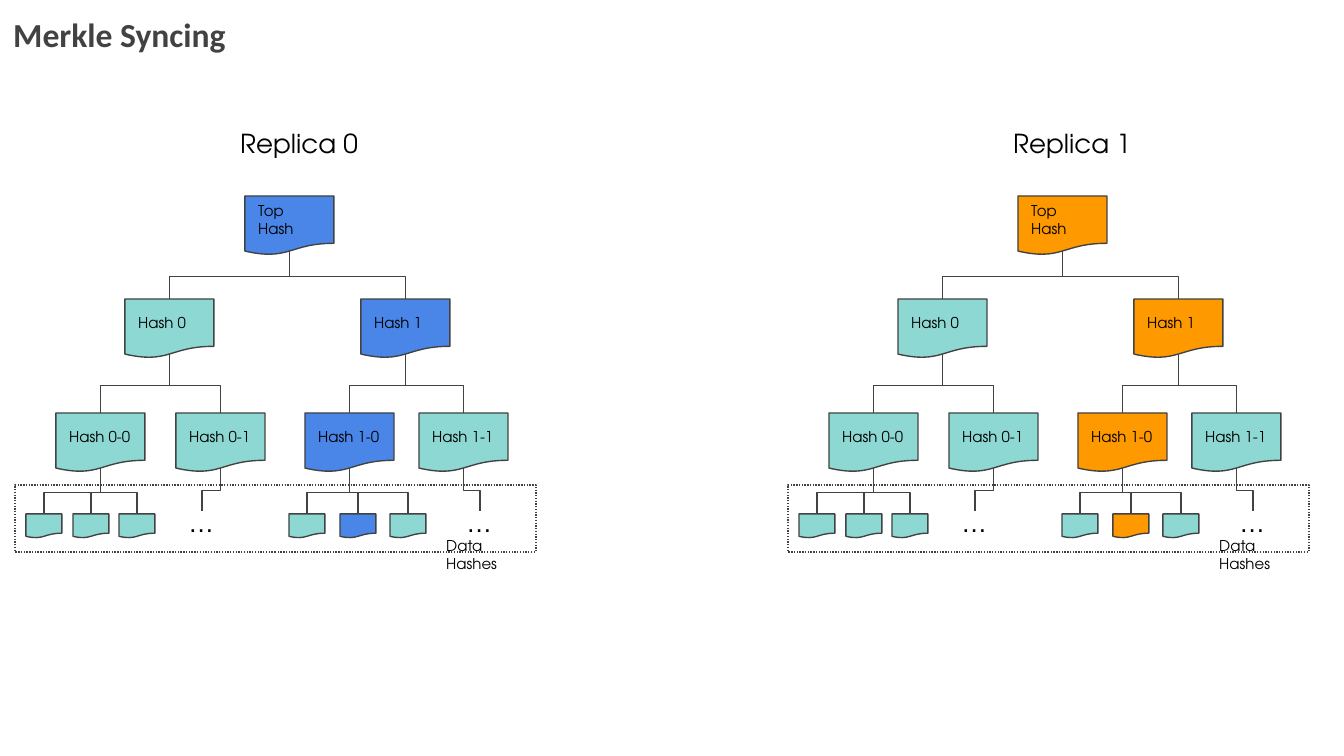
from lxml import etree
from pptx import Presentation
from pptx import util as u
from pptx.dml.color import RGBColor
from pptx.enum import dml, shapes, text
from pptx.oxml.ns import qn

PX = 914400 / 134.4
INK, TEAL, BLACK = "424242", "8DD8D3", "000000"
SANS = "TeX Gyre Adventor"

# (title, left, colour of the hashes that differ)
REPLICAS = [("Replica 0", 0, "4A86E8"), ("Replica 1", 773, "FF9900")]
# name: (label, left, top, parent)
HASHES = {
    "top": ("Top Hash", 245, 196, None),
    "0": ("Hash 0", 125, 299, "top"),
    "1": ("Hash 1", 361, 299, "top"),
    "0-0": ("Hash 0-0", 56, 413, "0"),
    "0-1": ("Hash 0-1", 176, 413, "0"),
    "1-0": ("Hash 1-0", 305, 413, "1"),
    "1-1": ("Hash 1-1", 419, 413, "1"),
}
CHANGED = {"top", "1", "1-0"}
LEAVES = {"0-0": [26, 73, 119], "1-0": [289, 340, 390]}
CHANGED_LEAF = 340
MORE = {"0-1": 202, "1-1": 480}  # centre of each ellipsis
NODE_W, NODE_H, LEAF_W, LEAF_H = 89, 59, 36, 24
LEAF_TOP, MORE_TOP = 514, 511
TAIL = 55  # from the top of a node down to its wavy edge


def px(n):
    return u.Emu(round(n * PX))


def rgb(value):
    return RGBColor.from_string(value)


def write(sp, words, size, font=SANS, color=BLACK, bold=False,
          anchor=text.MSO_ANCHOR.TOP):
    tf = sp.text_frame
    frame = {"word_wrap": True, "vertical_anchor": anchor}
    frame.update({f"margin_{side}": u.Inches(0.1)
                  for side in ("left", "right", "top", "bottom")})
    for key, value in frame.items():
        setattr(tf, key, value)
    p = tf.paragraphs[0]
    p.alignment = text.PP_ALIGN.LEFT
    r = p.add_run()
    r.text = words
    for key, value in {"size": u.Pt(size), "name": font, "bold": bold}.items():
        setattr(r.font, key, value)
    r.font.color.rgb = rgb(color)


def label(s, words, x, y, w, h, size, **style):
    write(s.shapes.add_textbox(px(x), px(y), px(w), px(h)), words, size, **style)


def outline(sp):
    sp.line.color.rgb = rgb(INK)
    sp.line.width = u.Pt(0.75)


def box(s, kind, x, y, w, h, fill=None):
    sp = s.shapes.add_shape(kind, px(x), px(y), px(w), px(h))
    sp.shadow.inherit = False
    if fill:
        sp.fill.solid()
        sp.fill.fore_color.rgb = rgb(fill)
    else:
        sp.fill.background()
    outline(sp)
    return sp


def branch(s, x1, y1, x2, y2):
    """Elbow that runs down, across and down: a turned bentConnector3."""
    w, h = y2 - y1, abs(x2 - x1)
    x, y = (x1 + x2 - w) / 2, (y1 + y2 - h) / 2
    c = s.shapes.add_connector(shapes.MSO_CONNECTOR.ELBOW,
                               px(x), px(y), px(x + w), px(y + h))
    outline(c)
    pr = c._element.spPr
    xfrm = pr.find(qn("a:xfrm"))
    xfrm.set("rot", str((270 if x2 > x1 else 90) * 60000))
    if x2 > x1:
        xfrm.set("flipH", "1")
    geom = pr.find(qn("a:prstGeom"))
    av = geom.find(qn("a:avLst"))
    if av is None:
        av = etree.SubElement(geom, qn("a:avLst"))
    etree.SubElement(av, qn("a:gd"), name="adj1", fmla="val 53000")
    etree.SubElement(pr, qn("a:effectLst"))


def replica(s, title, dx, accent):
    document = shapes.MSO_SHAPE.FLOWCHART_DOCUMENT
    frame = box(s, shapes.MSO_SHAPE.RECTANGLE, dx + 15, 485, 521, 67)
    frame.line.dash_style = dml.MSO_LINE.ROUND_DOT

    def tail(name):
        _, x, y, _ = HASHES[name]
        return dx + x + NODE_W / 2, y + TAIL

    for words, x, y, parent in HASHES.values():
        if parent:
            branch(s, *tail(parent), dx + x + NODE_W / 2, y)
    for name, (words, x, y, _) in HASHES.items():
        sp = box(s, document, dx + x, y, NODE_W, NODE_H,
                 accent if name in CHANGED else TEAL)
        write(sp, words, 8, anchor=text.MSO_ANCHOR.MIDDLE)
    for parent, lefts in LEAVES.items():
        for x in lefts:
            branch(s, *tail(parent), dx + x + LEAF_W / 2, LEAF_TOP)
            box(s, document, dx + x, LEAF_TOP, LEAF_W, LEAF_H,
                accent if x == CHANGED_LEAF else TEAL)
    for parent, x in MORE.items():
        branch(s, *tail(parent), dx + x, MORE_TOP)
        label(s, "…", dx + x - 27, 493, 51, 67, 14, font="Arial")
    label(s, title, dx + 227, 114, 148, 67, 14)
    label(s, "Data Hashes", dx + 433, 523, 116, 47, 8)


def main():
    prs = Presentation()
    prs.slide_width, prs.slide_height = px(1344), px(756)
    s = prs.slides.add_slide(prs.slide_layouts[6])
    label(s, "Merkle Syncing", 0, 0, 290, 146, 18,
          font="Calibri", color=INK, bold=True)
    for title, dx, accent in REPLICAS:
        replica(s, title, dx, accent)
    prs.save("out.pptx")


if __name__ == "__main__":
    main()
